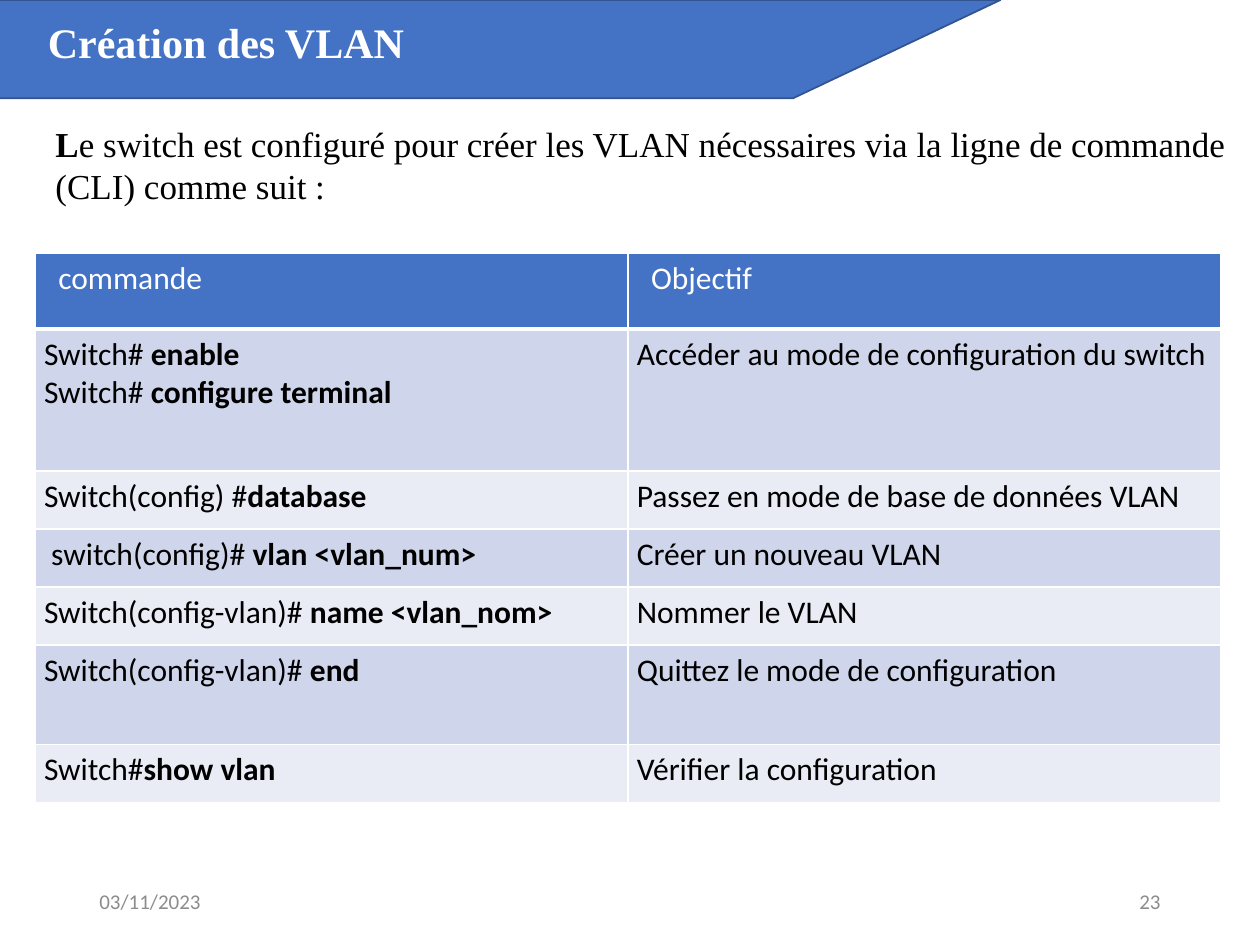
from lxml.etree import SubElement
from pptx import Presentation
from pptx.dml.color import RGBColor
from pptx.enum.shapes import MSO_SHAPE
from pptx.enum.text import MSO_ANCHOR, MSO_AUTO_SIZE, PP_ALIGN
from pptx.oxml.ns import qn
from pptx.util import Inches, Pt

BLUE = RGBColor(0x44, 0x72, 0xC4)
DARK_BLUE = RGBColor(0x32, 0x54, 0x91)
BAND_DARK = RGBColor(0xCF, 0xD5, 0xEA)
BAND_LIGHT = RGBColor(0xE9, 0xEB, 0xF5)
GREY = RGBColor(0x8C, 0x8C, 0x8C)
WHITE = RGBColor(0xFF, 0xFF, 0xFF)
BLACK = RGBColor(0, 0, 0)
SERIF = "Times New Roman"
SANS = "Calibri"

HEADINGS = ["  commande", "  Objectif"]
COMMANDS = [
    ([("Switch# ", "enable"), ("Switch# ", "configure terminal")],
     "Accéder au mode de configuration du switch"),
    ([("Switch(config) #", "database")], "Passez en mode de base de données VLAN"),
    ([(" switch(config)# ", "vlan <vlan_num>")], "Créer un nouveau VLAN"),
    ([("Switch(config-vlan)# ", "name <vlan_nom>")], "Nommer le VLAN"),
    ([("Switch(config-vlan)# ", "end")], "Quittez le mode de configuration"),
    ([("Switch#", "show vlan")], "Vérifier la configuration"),
]
ROW_HEIGHTS = [0.6, 1.13, 0.46, 0.46, 0.46, 0.79, 0.46]


def place(shape, box):
    """Move a shape to a box of left, top, width and height in inches."""
    shape.left, shape.top, shape.width, shape.height = map(Inches, box)


def add_run(paragraph, text, size, font_name, color, bold=False):
    """Append a formatted run to a paragraph."""
    run = paragraph.add_run()
    run.text = text
    font = run.font
    font.size, font.name, font.bold = Pt(size), font_name, bold
    font.color.rgb = color


def prepare_frame(text_frame, anchor, align=PP_ALIGN.LEFT):
    """Set wrapping, anchoring and alignment, and return the first paragraph."""
    text_frame.word_wrap = True
    text_frame.auto_size = MSO_AUTO_SIZE.NONE
    text_frame.vertical_anchor = anchor
    paragraph = text_frame.paragraphs[0]
    paragraph.alignment = align
    paragraph.space_before = Pt(0)
    return paragraph


def add_banner(slide, box):
    """Draw the slanted banner behind the title."""
    banner = slide.shapes.add_shape(MSO_SHAPE.PARALLELOGRAM, *map(Inches, box))
    banner.adjustments[0] = 2.11
    banner.shadow.inherit = False
    banner.fill.solid()
    banner.fill.fore_color.rgb = BLUE
    banner.line.color.rgb = DARK_BLUE
    banner.line.width = Pt(1)
    slide.shapes._spTree.insert(2, banner._element)


def fill_title(slide, box):
    """Place and write the title."""
    title = slide.shapes.title
    place(title, box)
    paragraph = prepare_frame(title.text_frame, MSO_ANCHOR.TOP)
    add_run(paragraph, "Création des VLAN", 24, SERIF, WHITE, True)


def fill_introduction(slide, box):
    """Place and write the introduction without a bullet."""
    body = slide.placeholders[1]
    place(body, box)
    paragraph = prepare_frame(body.text_frame, MSO_ANCHOR.TOP)
    properties = paragraph._p.get_or_add_pPr()
    properties.set("marL", "0")
    properties.set("indent", "0")
    SubElement(properties, qn("a:buNone"))
    add_run(paragraph, "L", 20, SERIF, BLACK, True)
    add_run(paragraph, "e switch est configuré pour créer les VLAN nécessaires "
            "via la ligne de commande (CLI) comme suit :", 20, SERIF, BLACK)


def style_cell(cell, color, bottom_width=1):
    """Set the margins, white borders and fill of a cell."""
    cell.margin_left = cell.margin_right = Inches(0.07)
    cell.margin_top = cell.margin_bottom = Inches(0.05)
    properties = cell._tc.get_or_add_tcPr()
    for side, width in zip("LRTB", (1, 1, 1, bottom_width)):
        border = SubElement(properties, qn(f"a:ln{side}"), w=str(Pt(width)))
        fill = SubElement(border, qn("a:solidFill"))
        SubElement(fill, qn("a:srgbClr"), val=str(WHITE))
    cell.fill.solid()
    cell.fill.fore_color.rgb = color


def add_command_table(slide, box):
    """Add the table of commands and their purposes."""
    frame = slide.shapes.add_table(len(ROW_HEIGHTS), len(HEADINGS), *map(Inches, box))
    table = frame.table
    for row, height in zip(table.rows, ROW_HEIGHTS):
        row.height = Inches(height)
    for cell, heading in zip(table.rows[0].cells, HEADINGS):
        style_cell(cell, BLUE, 3)
        add_run(cell.text_frame.paragraphs[0], heading, 18, SANS, WHITE)
    for index, (lines, purpose) in enumerate(COMMANDS, start=1):
        command_cell, purpose_cell = table.rows[index].cells
        for cell in (command_cell, purpose_cell):
            style_cell(cell, BAND_DARK if index % 2 else BAND_LIGHT)
        text_frame = command_cell.text_frame
        for number, (prompt, command) in enumerate(lines):
            paragraph = text_frame.add_paragraph() if number else text_frame.paragraphs[0]
            add_run(paragraph, prompt, 18, SANS, BLACK)
            add_run(paragraph, command, 18, SANS, BLACK, True)
        add_run(purpose_cell.text_frame.paragraphs[0], purpose, 18, SANS, BLACK)


def add_footer(slide, box, text, align):
    """Add a grey footer text."""
    footer = slide.shapes.add_textbox(*map(Inches, box))
    paragraph = prepare_frame(footer.text_frame, MSO_ANCHOR.MIDDLE, align)
    add_run(paragraph, text, 12, SANS, GREY)


def main():
    """Build and save the presentation."""
    presentation = Presentation()
    presentation.slide_width, presentation.slide_height = Inches(10), Inches(7.5)
    slide = presentation.slides.add_slide(presentation.slide_layouts[1])
    add_banner(slide, (-1.67, 0, 9.61, 0.78))
    fill_title(slide, (0.28, 0.08, 4.45, 0.5))
    fill_introduction(slide, (0.34, 0.92, 9.61, 1.08))
    add_command_table(slide, (0.28, 2.01, 9.41, 4.36))
    add_footer(slide, (0.69, 6.95, 2.25, 0.4), "03/11/2023", PP_ALIGN.LEFT)
    add_footer(slide, (7.06, 6.95, 2.25, 0.4), "23", PP_ALIGN.RIGHT)
    presentation.save("out.pptx")


if __name__ == "__main__":
    main()
